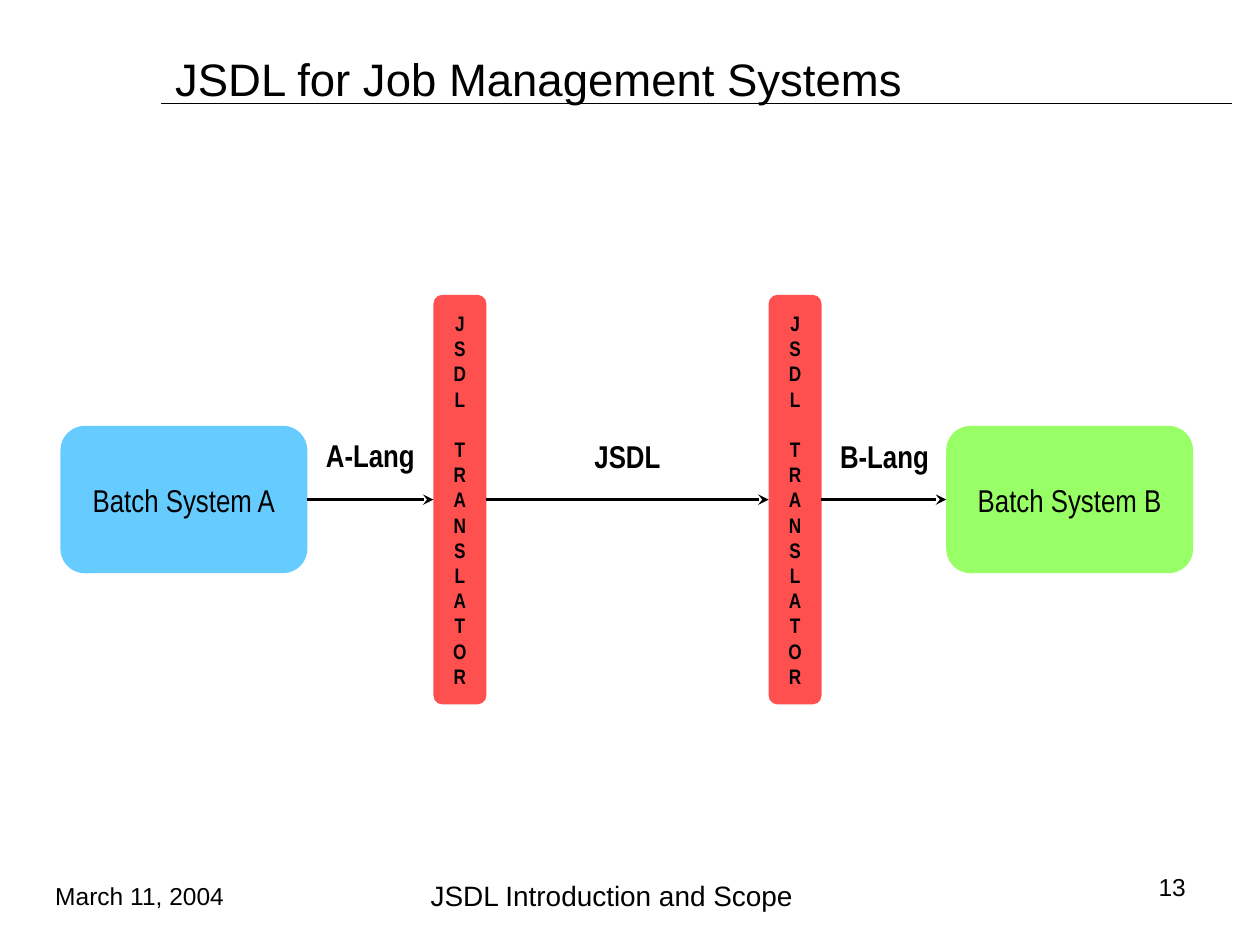
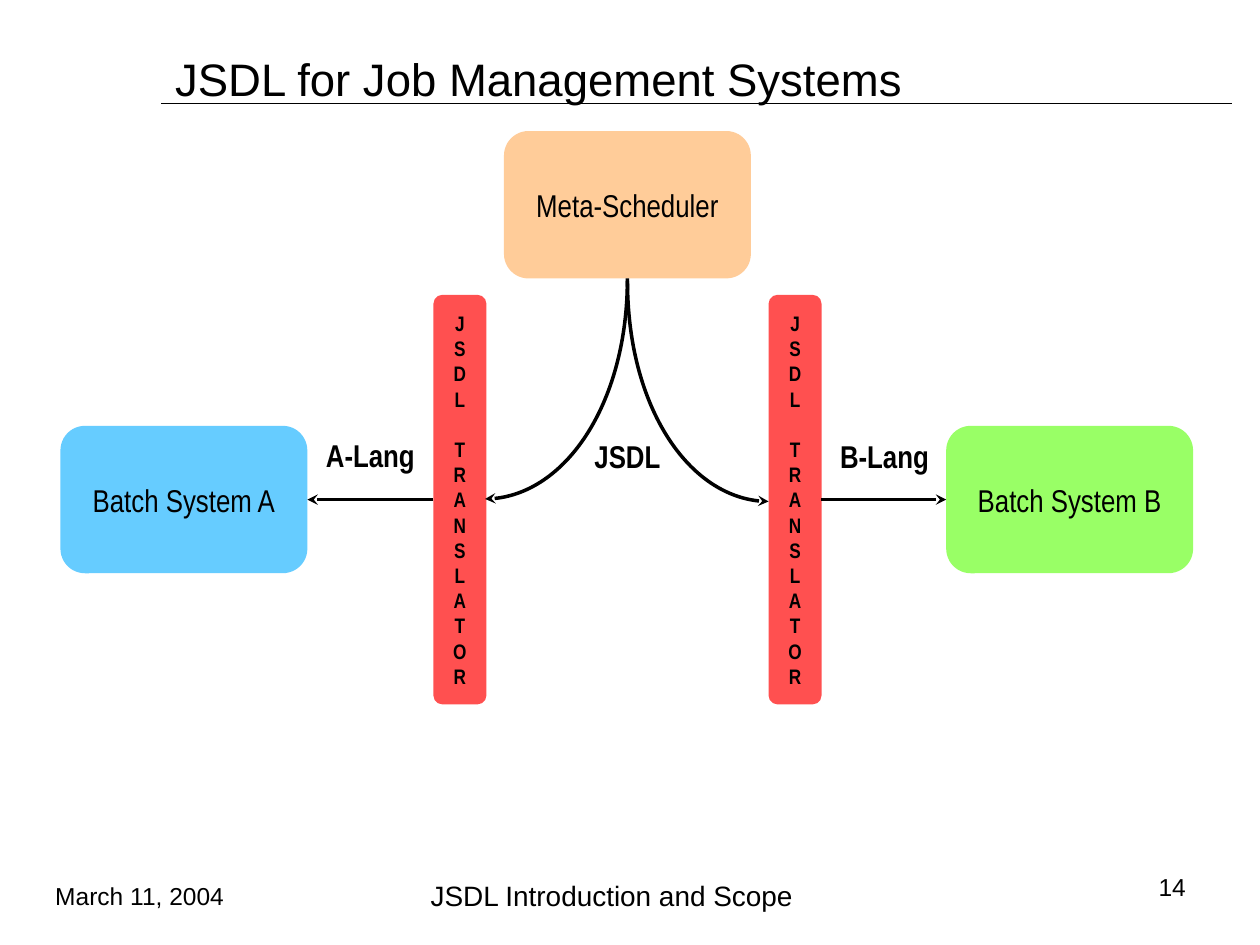
from lxml import etree
from pptx import Presentation
from pptx import util as u
from pptx.dml.color import RGBColor
from pptx.enum import shapes, text
from pptx.oxml.ns import qn

EMU_PER_PX = 9144  # 100 px to the inch
COLOURS = {
    "ink": "000000",
    "system a": "66CCFF",
    "system b": "99FF66",
    "translator": "FF5050",
    "scheduler": "FFCC99",
}
TITLE_FONT = {"name": "Arial", "size": u.Pt(26), "bold": False}
FOOTER_FONT = {"name": "Arial", "size": u.Pt(14)}
BOX_FONT = {"name": "Arial Narrow", "size": u.Pt(18), "bold": False}
LABEL_FONT = BOX_FONT | {"bold": True}
TRANSLATOR_FONT = LABEL_FONT | {"size": u.Pt(12)}
WORD_GAP = u.Pt(14.4)  # one line of translator text

LEFT, CENTRE, RIGHT = text.PP_ALIGN.LEFT, text.PP_ALIGN.CENTER, text.PP_ALIGN.RIGHT
SIDE_TOP, SIDE_LEFT, SIDE_BOTTOM, SIDE_RIGHT = range(4)
BOX_SIZE = (196, 117)
TRANSLATOR_SIZE = (42, 325)


def px(*lengths):
    return [u.Emu(length * EMU_PER_PX) for length in lengths]


def colour(name):
    return RGBColor.from_string(COLOURS[name])


def set_values(target, values):
    for name, value in values.items():
        setattr(target, name, value)


class Painter:
    def __init__(self, deck):
        self.deck = deck
        self.page = None

    def new_page(self, title, number):
        self.page = self.deck.slides.add_slide(self.deck.slide_layouts[5])
        self.rule((128, 82), (978, 82))
        box = self.page.shapes.title
        set_values(box, dict(zip(("left", "top", "width", "height"), px(129, 33, 850, 58))))
        self.fill_text(box, [title], TITLE_FONT, LEFT, wrap=True)
        self.text_box("JSDL Introduction and Scope", (304, 683, 363, 55),
                      FOOTER_FONT | {"size": u.Pt(16)}, CENTRE)
        self.text_box(str(number), (856, 692, 95, 24), FOOTER_FONT, RIGHT)
        self.text_box("March 11, 2004", (34, 692, 176, 37), FOOTER_FONT, LEFT)

    def fill_text(self, box, lines, font, align, wrap=False):
        frame = box.text_frame
        set_values(frame, {"word_wrap": wrap, "auto_size": text.MSO_AUTO_SIZE.NONE,
                           "vertical_anchor": text.MSO_ANCHOR.MIDDLE})
        frame.text = "\n".join(lines)
        for para in frame.paragraphs:
            para.alignment = align
            set_values(para.font, font)
            para.font.color.rgb = colour("ink")

    def text_box(self, words, place, font, align, wrap=True):
        box = self.page.shapes.add_textbox(*px(*place))
        self.fill_text(box, [words], font, align, wrap)

    def rounded_box(self, lines, place, fill, font=BOX_FONT):
        kind = shapes.MSO_SHAPE.ROUNDED_RECTANGLE
        box = self.page.shapes.add_shape(kind, *px(*place))
        box.shadow.inherit = False
        box.fill.solid()
        box.fill.fore_color.rgb = colour(fill)
        box.line.fill.background()
        self.fill_text(box, lines, font, CENTRE)
        return box

    def translator(self, left):
        """Add a tall box that spells its two words downwards."""
        first, second = "JSDL", "TRANSLATOR"
        box = self.rounded_box(list(first + second), (left, 234, *TRANSLATOR_SIZE),
                               "translator", TRANSLATOR_FONT)
        box.text_frame.paragraphs[len(first)].space_before = WORD_GAP
        return box

    def stroke(self, shape, width, arrow=False):
        shape.line.color.rgb = colour("ink")
        shape.line.width = u.Pt(width)
        if arrow:
            line = shape._element.spPr.find(qn("a:ln"))
            etree.SubElement(line, qn("a:tailEnd"), type="stealth")

    def rule(self, start, end, width=0.75, arrow=False):
        kind = shapes.MSO_CONNECTOR.STRAIGHT
        line = self.page.shapes.add_connector(kind, *px(*start, *end))
        self.stroke(line, width, arrow)
        etree.SubElement(line._element.spPr, qn("a:effectLst"))
        return line

    def arrow(self, source, source_side, target, target_side):
        line = self.rule((0, 0), (1, 1), 2, arrow=True)
        line.begin_connect(source, source_side)
        line.end_connect(target, target_side)

    def curved_arrow(self, start, *bezier_points):
        builder = self.page.shapes.build_freeform(*start, scale=EMU_PER_PX)
        builder.add_line_segments(bezier_points, close=False)
        curve = builder.convert_to_shape()
        curve.shadow.inherit = False
        curve.fill.background()
        segments = list(curve._element.iter(qn("a:lnTo")))
        outline = segments[0].getparent()
        bezier = etree.SubElement(outline, qn("a:cubicBezTo"))
        for segment in segments:
            bezier.append(segment[0])
            outline.remove(segment)
        self.stroke(curve, 2, arrow=True)

    def label_between(self, words, left_box, right_box, top):
        middle = round((left_box.left + left_box.width + right_box.left) / 2 / EMU_PER_PX)
        self.text_box(words, (middle - 53, top, 106, 40), LABEL_FONT, CENTRE, wrap=False)


def draw_systems(painter, number):
    """Start a page with both batch systems, their translators and the labels."""
    painter.new_page("JSDL for Job Management Systems", number)
    system_a = painter.rounded_box(["Batch System A"], (48, 338, *BOX_SIZE), "system a")
    system_b = painter.rounded_box(["Batch System B"], (751, 338, *BOX_SIZE), "system b")
    translator_a, translator_b = [painter.translator(left) for left in (344, 610)]
    painter.label_between("A-Lang", system_a, translator_a, 341)
    painter.label_between("JSDL", translator_a, translator_b, 342)
    painter.label_between("B-Lang", translator_b, system_b, 342)
    painter.arrow(translator_b, SIDE_RIGHT, system_b, SIDE_LEFT)
    return system_a, translator_a, translator_b


def draw_direct_page(painter):
    system_a, translator_a, translator_b = draw_systems(painter, 13)
    painter.arrow(system_a, SIDE_RIGHT, translator_a, SIDE_LEFT)
    painter.arrow(translator_a, SIDE_RIGHT, translator_b, SIDE_LEFT)


def draw_scheduler_page(painter):
    system_a, translator_a, _ = draw_systems(painter, 14)
    painter.arrow(translator_a, SIDE_LEFT, system_a, SIDE_RIGHT)
    painter.rounded_box(["Meta-Scheduler"], (400, 104, *BOX_SIZE), "scheduler")
    painter.curved_arrow((498, 221), (498, 318), (447, 396), (385, 396))
    painter.curved_arrow((498, 223), (498, 320), (548, 398), (610, 398))


def main():
    deck = Presentation()
    deck.slide_width, deck.slide_height = px(1000, 750)
    painter = Painter(deck)
    draw_direct_page(painter)
    draw_scheduler_page(painter)
    deck.save("out.pptx")


if __name__ == "__main__":
    main()
